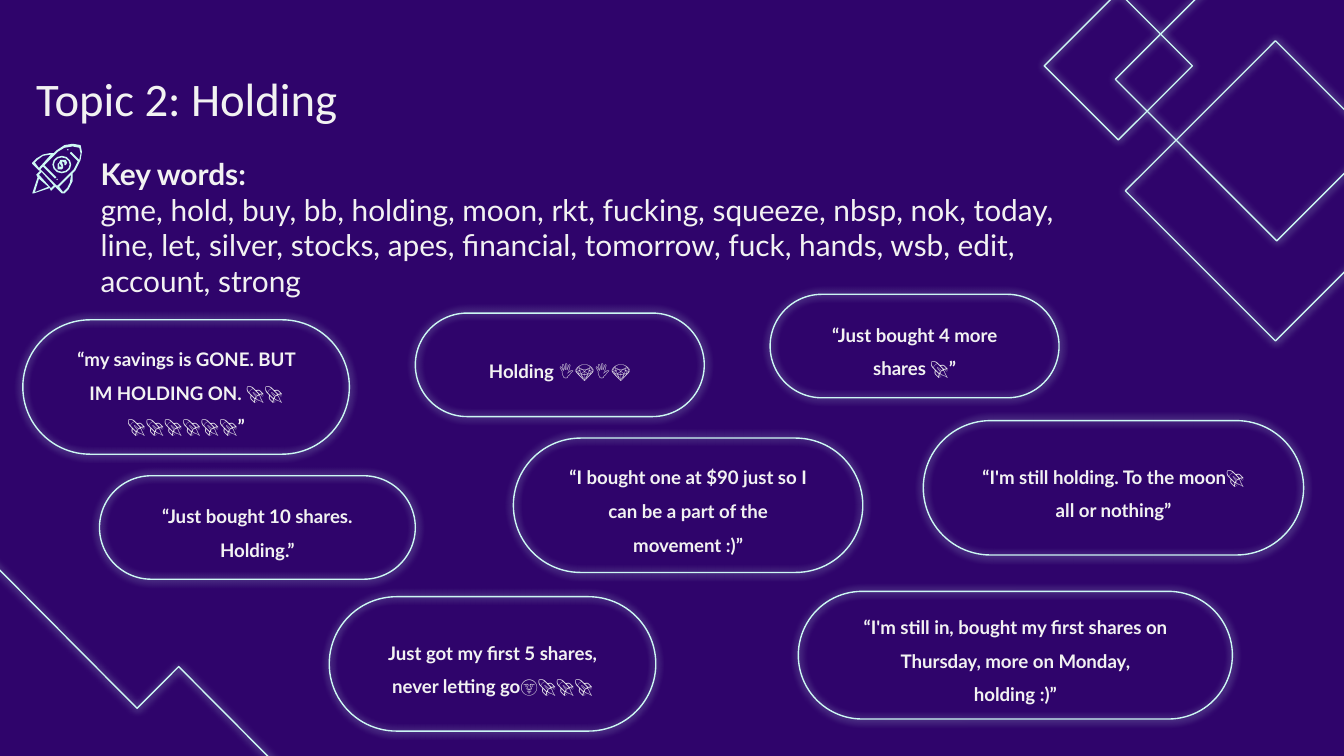
import pptx
import pptx.dml.color
import pptx.enum.shapes
import pptx.enum.text
import pptx.oxml
import pptx.oxml.ns
import pptx.util
from pptx.util import Inches

COLORS = {"night": "2F046B", "glow": "CDF8F4", "text": "F2F2F2"}
SHAPES = pptx.enum.shapes.MSO_SHAPE
ALIGN = pptx.enum.text.PP_ALIGN
ANCHOR = pptx.enum.text.MSO_ANCHOR

# Centre x, centre y, side of the squares standing on a corner
DIAMONDS = [(9.5, 0.59, 1.7), (8.32, 0.49, 0.78), (9.49, 1.42, 1.58)]

# Left, top, width, height, words
QUOTES = [
    (0.74, 3.54, 2.35, 0.77, "“Just bought 10 shares. Holding.”"),
    (5.73, 2.19, 2.15, 0.77, "“Just bought 4 more shares 🚀”"),
    (3.82, 3.26, 2.6, 1, "“I bought one at $90 just so I can be a part of the movement :)”"),
    (0.17, 2.38, 2.43, 1, "“my savings is GONE. BUT IM HOLDING ON. 🚀🚀🚀🚀🚀🚀🚀🚀”"),
    (2.45, 4.44, 2.43, 1, "Just got my first 5 shares, never letting go🌝🚀🚀🚀"),
    (5.94, 4.4, 3.23, 0.95,
     "“I'm still in, bought my first shares on Thursday, more on Monday, holding :)”"),
    (6.87, 3.13, 2.83, 1, "“I'm still holding. To the moon🚀 all or nothing”"),
    (3.09, 2.33, 2.15, 0.77, "Holding 🖐💎🖐💎"),
]

KEY_WORDS = ("gme, hold, buy, bb, holding, moon, rkt, fucking, squeeze, nbsp, nok, today, "
             "line, let, silver, stocks, apes, financial, tomorrow, fuck, hands, wsb, edit, "
             "account, strong")

# Rocket: the silhouette, then the openings cut out of it
ROCKET = [
    [(0.54, 1.07), (0.48, 1.08), (0.42, 1.12), (0.4, 1.14), (0.37, 1.14), (0.32, 1.15),
     (0.27, 1.18), (0.24, 1.21), (0.24, 1.22), (0.29, 1.27), (0.3, 1.27), (0.27, 1.3),
     (0.28, 1.32), (0.24, 1.44), (0.25, 1.44), (0.37, 1.4), (0.38, 1.42), (0.41, 1.39),
     (0.46, 1.44), (0.48, 1.44), (0.51, 1.41), (0.54, 1.35), (0.54, 1.29), (0.56, 1.27),
     (0.6, 1.19), (0.61, 1.13), (0.6, 1.08)],
    [(0.38, 1.15), (0.29, 1.25), (0.26, 1.21), (0.28, 1.19), (0.32, 1.16)],
    [(0.54, 1.09), (0.59, 1.1), (0.6, 1.14), (0.59, 1.19), (0.53, 1.13), (0.52, 1.14),
     (0.58, 1.2), (0.55, 1.26), (0.43, 1.38), (0.42, 1.38), (0.3, 1.26), (0.32, 1.24),
     (0.41, 1.33), (0.42, 1.32), (0.33, 1.23), (0.43, 1.13), (0.48, 1.1)],
    [(0.31, 1.28), (0.4, 1.38), (0.38, 1.4), (0.29, 1.3)],
    [(0.29, 1.33), (0.36, 1.39), (0.26, 1.43)],
    [(0.53, 1.3), (0.52, 1.36), (0.5, 1.4), (0.47, 1.43), (0.44, 1.39)],
]
DOLLAR = [
    [(0.47, 1.19), (0.45, 1.19), (0.44, 1.21), (0.46, 1.24), (0.44, 1.24), (0.44, 1.21),
     (0.43, 1.22), (0.43, 1.26), (0.46, 1.26), (0.47, 1.25), (0.47, 1.23), (0.46, 1.2),
     (0.48, 1.21), (0.48, 1.23), (0.49, 1.23), (0.5, 1.21), (0.49, 1.19)],
]


def rgb(name):
    return pptx.dml.color.RGBColor.from_string(COLORS[name])


def fill_plain(shape):
    shape.shadow.inherit = False
    shape.fill.solid()
    shape.fill.fore_color.rgb = rgb("glow")
    shape.line.fill.background()


def outline_glowing(shape):
    shape.fill.background()
    shape.line.color.rgb = rgb("glow")
    shape.line.width = pptx.util.Pt(0.75)
    shape.shadow.inherit = False
    effects = shape.element.spPr.find(pptx.oxml.ns.qn("a:effectLst"))
    effects.append(pptx.oxml.parse_xml(
        f'<a:outerShdw {pptx.oxml.ns.nsdecls("a")} blurRad="57150" dist="0" '
        f'algn="bl" rotWithShape="0"><a:srgbClr val="{COLORS["glow"]}"/></a:outerShdw>'))


def add_preset(slide, kind, left, top, width, height):
    return slide.shapes.add_shape(
        kind, Inches(left), Inches(top), Inches(width), Inches(height))


def add_outline(slide, contours, close=True):
    contours = [[(Inches(x), Inches(y)) for x, y in contour] for contour in contours]
    builder = slide.shapes.build_freeform(*contours[0][0])
    builder.add_line_segments(contours[0][1:], close=close)
    for start, *rest in contours[1:]:
        builder.move_to(*start)
        builder.add_line_segments(rest, close=close)
    return builder.convert_to_shape()


def add_text(slide, left, top, width, height, lines, *, size, font="Lato", bold=(False,),
             align=ALIGN.LEFT, anchor=ANCHOR.MIDDLE, spacing=1.0):
    box = slide.shapes.add_textbox(Inches(left), Inches(top), Inches(width), Inches(height))
    frame = box.text_frame
    frame.word_wrap = True
    frame.vertical_anchor = anchor
    frame.margin_left = frame.margin_right = Inches(0.1)
    frame.margin_top = frame.margin_bottom = Inches(0.1)
    frame.text = "\n".join(lines)
    for paragraph, is_bold in zip(frame.paragraphs, bold):
        paragraph.alignment = align
        paragraph.line_spacing = spacing
        run_font = paragraph.runs[0].font
        run_font.name = font
        run_font.size = pptx.util.Pt(size)
        run_font.bold = is_bold
        run_font.color.rgb = rgb("text")


def add_diamond(slide, center_x, center_y, side):
    diamond = add_preset(slide, SHAPES.RECTANGLE, center_x - side / 2, center_y - side / 2,
                         side, side)
    diamond.rotation = 135
    outline_glowing(diamond)


def add_rocket(slide):
    fill_plain(add_outline(slide, ROCKET))
    fill_plain(add_outline(slide, DOLLAR))
    coin = add_preset(slide, SHAPES.DONUT, 0.39, 1.16, 0.14, 0.13)
    coin.adjustments[0] = 0.09
    fill_plain(coin)
    for left, top in [(0.5, 1.11), (0.42, 1.33)]:
        fill_plain(add_preset(slide, SHAPES.OVAL, left, top, 0.01, 0.01))


def add_quote(slide, left, top, width, height, words):
    bubble = add_preset(slide, SHAPES.ROUNDED_RECTANGLE, left, top, width, height)
    bubble.adjustments[0] = 0.5
    outline_glowing(bubble)
    inset_x, inset_y = 0.108 * width, 0.08 * height
    add_text(slide, left + inset_x, top + inset_y, width - 2 * inset_x, height - 2 * inset_y,
             [words], size=10, bold=(True,), align=ALIGN.CENTER, spacing=1.5)


def main():
    deck = pptx.Presentation()
    deck.slide_width = Inches(10)
    deck.slide_height = Inches(10 * 9 / 16)
    slide = deck.slides.add_slide(deck.slide_layouts[6])
    slide.background.fill.solid()
    slide.background.fill.fore_color.rgb = rgb("night")

    # Corner decorations
    zigzag = [(-0.57, 3.67), (1.02, 5.27), (1.33, 4.96), (3.08, 6.72)]
    outline_glowing(add_outline(slide, [zigzag], close=False))
    for diamond in DIAMONDS:
        add_diamond(slide, *diamond)

    # Key words and title
    add_text(slide, 0.65, 0.98, 7.34, 1.42, ["Key words:", KEY_WORDS], size=16,
             bold=(True, False))
    add_text(slide, 0.17, 0.42, 10.06, 0.96, ["Topic 2: Holding"], size=25, font="Calibri",
             anchor=ANCHOR.TOP)
    add_rocket(slide)

    # Quotes
    for quote in QUOTES:
        add_quote(slide, *quote)

    deck.save("out.pptx")


if __name__ == "__main__":
    main()
